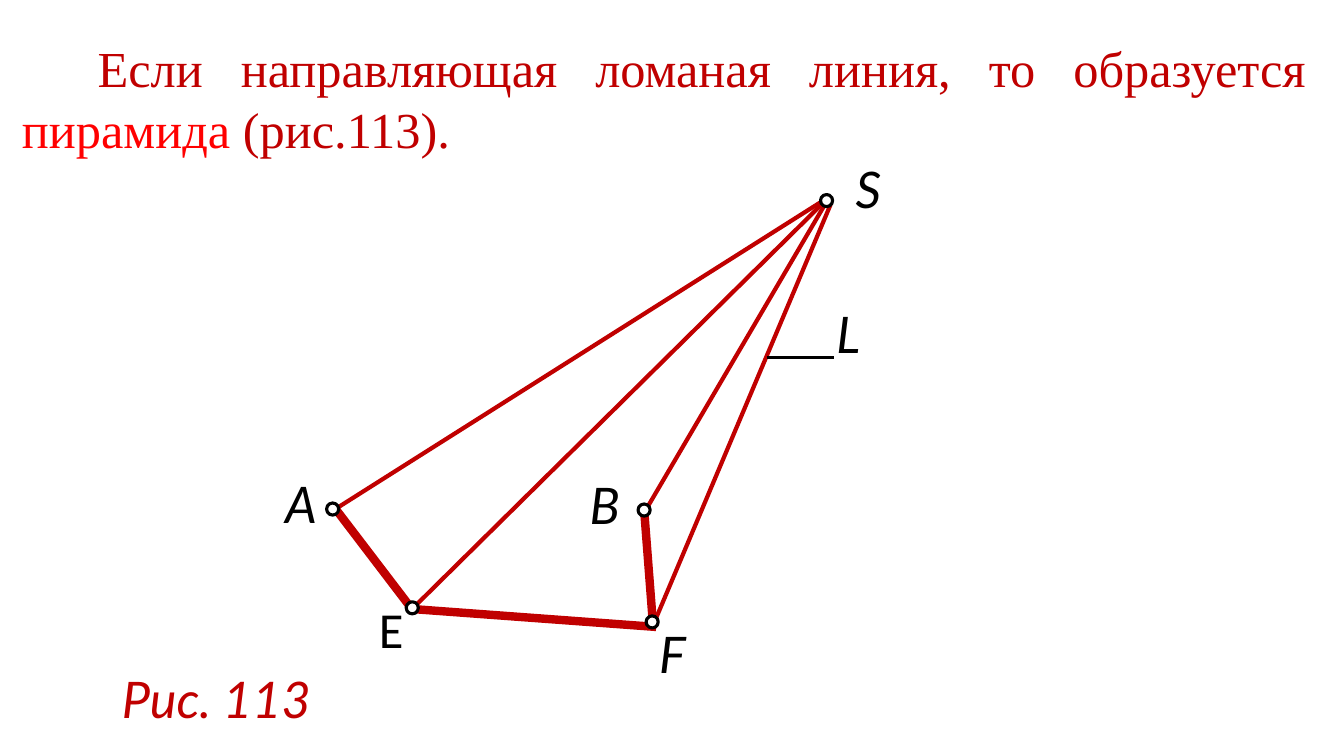
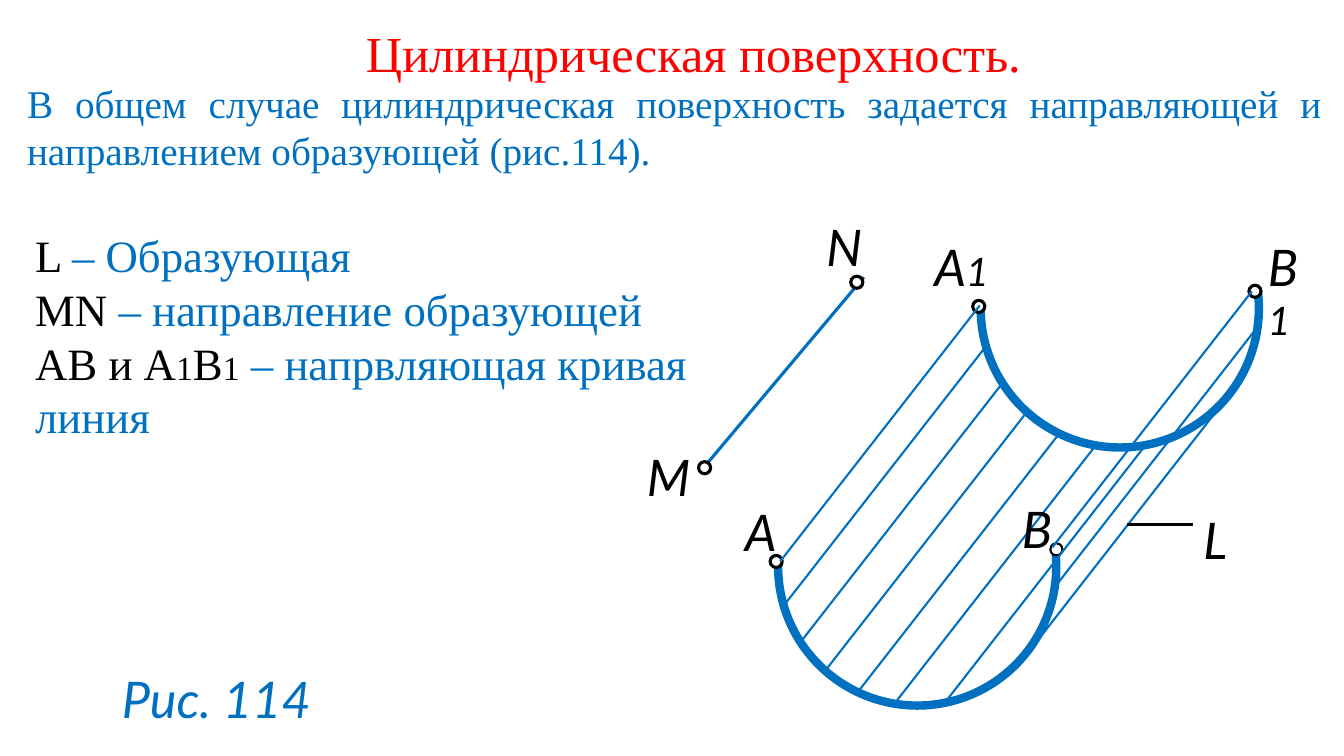
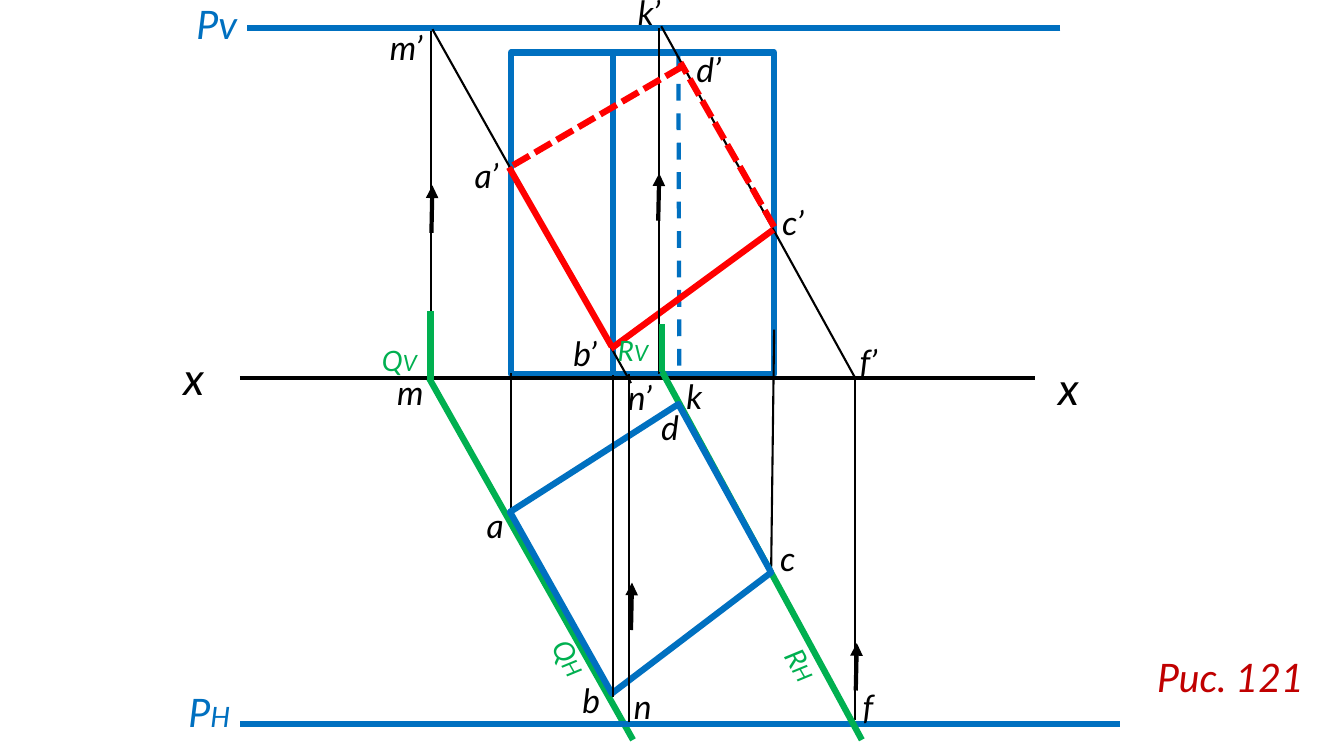
from dataclasses import dataclass
from typing import NamedTuple, Optional

from lxml import etree
from pptx import Presentation
from pptx.dml.color import RGBColor
from pptx.enum.dml import MSO_LINE
from pptx.enum.shapes import MSO_CONNECTOR, MSO_SHAPE
from pptx.enum.text import MSO_ANCHOR, MSO_AUTO_SIZE, PP_ALIGN
from pptx.oxml.ns import qn
from pptx.util import Emu, Pt

PX = 9144  # EMU per px, 100 px to the inch
STRAIGHT = MSO_CONNECTOR.STRAIGHT
ELLIPSE, RECT, ARC = MSO_SHAPE.OVAL, MSO_SHAPE.RECTANGLE, MSO_SHAPE.ARC
DASH, SHORT_DASH = MSO_LINE.DASH, MSO_LINE.SQUARE_DOT
LEFT, JUSTIFY = PP_ALIGN.LEFT, PP_ALIGN.JUSTIFY
TITLE_ONLY, BLANK = 5, 6


@dataclass(frozen=True)
class Theme:
    black: RGBColor = RGBColor(0, 0, 0)
    white: RGBColor = RGBColor(255, 255, 255)
    crimson: RGBColor = RGBColor(0xC0, 0, 0)
    red: RGBColor = RGBColor(255, 0, 0)
    blue: RGBColor = RGBColor(0, 0x70, 0xC0)
    green: RGBColor = RGBColor(0, 0xB0, 0x50)
    serif: str = "Times New Roman"
    sans: str = "Lato"
    plain: str = "Calibri"
    title: int = 36
    body: int = 32
    lead: int = 28
    point: int = 24
    trace: int = 20
    index: int = 16


T = Theme()


class Point(NamedTuple):
    x: int
    y: int


class Box(NamedTuple):
    x: int
    y: int
    w: int
    h: int


@dataclass(frozen=True)
class Span:
    text: str
    size: Optional[int] = None
    color: Optional[RGBColor] = None


@dataclass(frozen=True)
class Para:
    spans: tuple[Span, ...]
    size: int
    color: RGBColor = T.black
    font: str = T.serif
    italic: bool = False
    align: PP_ALIGN = LEFT
    indent: int = 0


@dataclass(frozen=True)
class Label:
    """A letter or name beside a point, with an optional smaller index."""
    text: str
    box: Box
    size: int = T.title
    color: RGBColor = T.black
    index: str = ""
    index_size: int = T.lead
    font: str = T.sans
    italic: bool = True
    rotation: float = 0
    wrap: bool = True


@dataclass(frozen=True)
class Line:
    start: Point
    end: Point
    color: RGBColor = T.black
    width: float = 1.5
    dash: Optional[MSO_LINE] = None
    arrow: bool = False


def emu(box: Box) -> tuple[Emu, ...]:
    return tuple(Emu(v * PX) for v in box)


def fill_text(tf, paras: list[Para], wrap: bool = True) -> None:
    tf.word_wrap = wrap
    tf.auto_size = MSO_AUTO_SIZE.NONE
    tf.vertical_anchor = MSO_ANCHOR.TOP
    for i, para in enumerate(paras):
        p = tf.add_paragraph() if i else tf.paragraphs[0]
        p.alignment = para.align
        if para.indent:
            p._p.get_or_add_pPr().set("indent", str(para.indent * PX))
        p.font.size, p.font.name = Pt(para.size), para.font
        p.font.italic = para.italic
        p.font.color.rgb = para.color
        for span in para.spans:
            r = p.add_run()
            r.text = span.text
            if span.size:
                r.font.size = Pt(span.size)
            if span.color is not None:
                r.font.color.rgb = span.color


def add_text(slide, box: Box, paras: list[Para], wrap: bool = True):
    sp = slide.shapes.add_textbox(*emu(box))
    fill_text(sp.text_frame, paras, wrap)
    return sp


def add_label(slide, label: Label) -> None:
    spans = (Span(label.text),)
    if label.index:
        spans += (Span(label.index, label.index_size),)
    para = Para(spans, label.size, label.color, label.font, label.italic)
    add_text(slide, label.box, [para], label.wrap).rotation = label.rotation


def add_line(slide, line: Line) -> None:
    ends = (Emu(v * PX) for v in (*line.start, *line.end))
    cx = slide.shapes.add_connector(STRAIGHT, *ends)
    cx.line.color.rgb = line.color
    cx.line.width = Pt(line.width)
    if line.dash is not None:
        cx.line.dash_style = line.dash
    if line.arrow:
        tail = etree.SubElement(cx.line._get_or_add_ln(), qn("a:tailEnd"))
        tail.set("type", "triangle")
    etree.SubElement(cx._element.spPr, qn("a:effectLst"))


def paint(sp, color: RGBColor, width: float) -> None:
    sp.shadow.inherit = False
    sp.fill.solid()
    sp.fill.fore_color.rgb = T.white
    sp.line.color.rgb = color
    sp.line.width = Pt(width)


def add_outline(slide, kind: MSO_SHAPE, box: Box, color: RGBColor, width: float):
    sp = slide.shapes.add_shape(kind, *emu(box))
    paint(sp, color, width)
    return sp


def add_dot(slide, center: Point, width: float = 2.25) -> None:
    add_outline(slide, ELLIPSE, Box(center.x - 6, center.y - 6, 12, 12), T.black, width)


def add_caption(slide, text: str, color: RGBColor) -> None:
    add_label(slide, Label(text, Box(111, 658, 241, 71), color=color))


def build_pyramid(prs) -> None:
    slide = prs.slides.add_slide(prs.slide_layouts[BLANK])
    spans = (Span("Если направляющая ломаная линия, то образуется "),
             Span("пирамида ", color=T.red), Span("(рис.113)."))
    lead = Para(spans, T.title, T.crimson, align=JUSTIFY, indent=75)
    add_text(slide, Box(12, 32, 1294, 131), [lead])

    apex = Point(823, 195)
    edges = [(apex, Point(328, 508)), (apex, Point(410, 603)),
             (apex, Point(643, 502)), (Point(824, 203), Point(651, 613))]
    base = [(Point(410, 606), Point(333, 505)), (Point(651, 622), Point(406, 604)),
            (Point(648, 622), Point(639, 505))]
    for width, group in ((3, edges), (6, base)):
        for start, end in group:
            add_line(slide, Line(start, end, T.crimson, width))
    add_line(slide, Line(Point(827, 355), Point(761, 355), width=2.25))
    for center in (Point(330, 505), Point(820, 199), Point(409, 603),
                   Point(639, 506), Point(647, 617)):
        add_dot(slide, center)
    for label in (
        Label("B", Box(575, 465, 48, 71)),
        Label("S", Box(839, 152, 47, 71)),
        Label("A", Box(273, 464, 51, 71)),
        Label("L", Box(820, 296, 44, 71)),
        Label("F", Box(644, 613, 44, 71)),
        Label("E", Box(366, 588, 45, 71), font=T.plain, italic=False),
    ):
        add_label(slide, label)
    add_caption(slide, "Рис. 113", T.crimson)


def build_cylinder(prs) -> None:
    slide = prs.slides.add_slide(prs.slide_layouts[TITLE_ONLY])
    title = slide.shapes.title
    title.left, title.top, title.width, title.height = emu(Box(353, 17, 676, 71))
    fill_text(title.text_frame,
              [Para((Span("Цилиндрическая поверхность."),), T.title, T.red)])
    lead = Span("В общем случае цилиндрическая поверхность задается "
                "направляющей и направлением образующей (рис.114).")
    add_text(slide, Box(17, 74, 1304, 104),
             [Para((lead,), T.lead, T.blue, align=JUSTIFY)])

    for x, y, end_angle in ((973, 168, 109.17), (772, 424, 109.59)):
        arc = add_outline(slide, ARC, Box(x, y, 276, 276), T.blue, 6)
        arc.adjustments[0] = 211.18
        arc.adjustments[1] = end_angle
    for center in (Point(770, 557), Point(971, 304), Point(1245, 289)):
        add_dot(slide, center)
    add_dot(slide, Point(1048, 545), 1.5)

    # Every generatrix is the same vector, moved along the upper arc.
    for x, y in ((972, 303), (977, 345), (1242, 289), (993, 382), (1051, 430),
                 (1017, 411), (1087, 442), (1137, 441), (1227, 382), (1244, 329)):
        add_line(slide, Line(Point(x, y), Point(x - 198, y + 254), T.blue))
    add_line(slide, Line(Point(1184, 520), Point(1118, 520), width=2.25))
    add_line(slide, Line(Point(857, 275), Point(698, 464), T.blue, 2.25))
    for center in (Point(850, 280), Point(699, 464)):
        add_dot(slide, center)

    for label in (
        Label("М", Box(632, 438, 51, 71)),
        Label("A", Box(917, 229, 82, 71), index="1"),
        Label("L", Box(1184, 500, 55, 71)),
        Label("N", Box(810, 209, 47, 71)),
        Label("В", Box(1248, 229, 60, 71), index="1"),
        Label("В", Box(1004, 489, 48, 71)),
        Label("A", Box(729, 492, 51, 71)),
    ):
        add_label(slide, label)
    legend = (
        (Span("L "), Span("– Образующая", color=T.blue)),
        (Span("MN"), Span(" – направление образующей", color=T.blue)),
        (Span("AB и A"), Span("1", T.point), Span("B"), Span("1", T.point),
         Span(" "), Span("– напрвляющая кривая линия", color=T.blue)),
    )
    add_text(slide, Box(25, 221, 667, 226), [Para(s, T.body) for s in legend])
    add_caption(slide, "Рис. 114", T.blue)


def build_projection(prs) -> None:
    slide = prs.slides.add_slide(prs.slide_layouts[BLANK])
    add_line(slide, Line(Point(628, 734), Point(425, 374), T.green, 4.5))
    add_line(slide, Line(Point(428, 29), Point(428, 375)))
    add_outline(slide, RECT, Box(507, 52, 261, 319), T.blue, 4.5)
    for line in (
        Line(Point(238, 375), Point(1027, 375), width=3),
        Line(Point(1052, 28), Point(245, 28), T.blue, 4.5),
        Line(Point(1111, 718), Point(238, 718), T.blue, 4.5),
        Line(Point(507, 370), Point(507, 508)),
        Line(Point(768, 327), Point(765, 568)),
        Line(Point(673, 54), Point(674, 367), T.blue, 3, DASH),
        Line(Point(608, 50), Point(608, 373), T.blue, 4.5),
        Line(Point(427, 377), Point(427, 309), T.green, 4.5),
        Line(Point(429, 29), Point(626, 380)),
        Line(Point(656, 26), Point(849, 376)),
        Line(Point(607, 344), Point(505, 166), T.red, 4.5),
        Line(Point(767, 228), Point(606, 346), T.red, 4.5),
        Line(Point(654, 28), Point(654, 371)),
        Line(Point(657, 369), Point(657, 321), T.green, 4.5),
        Line(Point(848, 373), Point(848, 714)),
        Line(Point(855, 734), Point(657, 369), T.green, 4.5),
    ):
        add_line(slide, line)

    a, b, c, d = Point(506, 508), Point(607, 688), Point(765, 568), Point(673, 401)
    builder = slide.shapes.build_freeform(*d, scale=PX)
    builder.add_line_segments([c, b, a], close=True)
    paint(builder.convert_to_shape(), T.blue, 4.5)

    for line in (
        Line(Point(608, 372), Point(608, 691)),
        Line(Point(624, 371), Point(624, 716)),
        Line(Point(768, 225), Point(675, 62), T.red, 4.5, SHORT_DASH),
        Line(Point(509, 164), Point(677, 66), T.red, 4.5, SHORT_DASH),
    ):
        add_line(slide, line)
    for x, y in ((428, 231), (653, 219), (849, 685), (626, 625)):
        add_line(slide, Line(Point(x, y), Point(x + 1, y - 47), width=3, arrow=True))

    for x, y in ((172, 343), (1040, 353)):
        add_label(slide, Label("x", Box(x, y, 40, 64), T.body))
    for text, x, y, w in (
        ("b", 568, 670, 41), ("d’", 681, 44, 48), ("с’", 766, 195, 65),
        ("k’", 623, -13, 65), ("k", 671, 368, 65), ("f’", 843, 333, 65),
        ("n’", 613, 369, 65), ("m’", 377, 22, 65), ("m", 384, 364, 65),
        ("n", 619, 676, 65), ("f", 846, 676, 48), ("a", 473, 496, 36),
        ("с", 764, 529, 47), ("d", 646, 399, 48),
    ):
        add_label(slide, Label(text, Box(x, y, w, 50), T.point))
    for text, x, y in (("a’", 461, 149), ("b’", 559, 325)):
        add_label(slide, Label(text, Box(x, y, 44, 50), T.point, wrap=False))

    add_label(slide, Label("Pv", Box(185, -5, 67, 57), T.lead, T.blue))
    add_label(slide, Label("P", Box(177, 678, 67, 57), T.lead, T.blue, "H", T.trace))
    for text, index, x, y, rotation in (
        ("Q", "H", 528, 632, 60.7), ("Q", "V", 369, 336, 0),
        ("R", "H", 759, 641, 60.6), ("R", "V", 603, 326, 0),
    ):
        add_label(slide, Label(text, Box(x, y, 67, 57), T.trace, T.green,
                               index, T.index, rotation=rotation))
    add_label(slide, Label("Рис. 121", Box(1138, 643, 175, 57), T.lead, T.crimson))


def main() -> None:
    prs = Presentation()
    prs.slide_width, prs.slide_height = Emu(12_192_000), Emu(750 * PX)
    build_pyramid(prs)
    build_cylinder(prs)
    build_projection(prs)
    prs.save("out.pptx")


if __name__ == "__main__":
    main()
